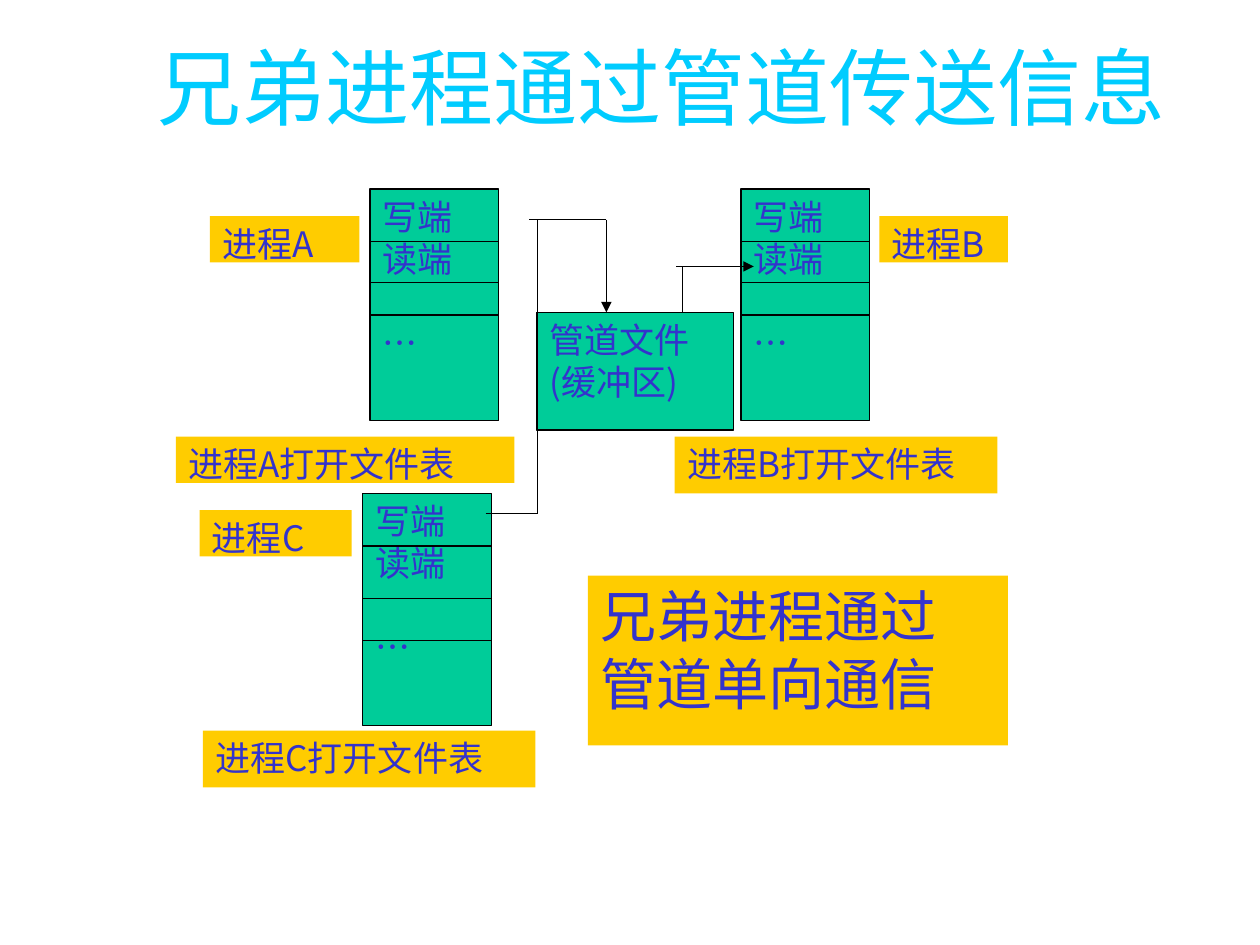
from lxml.etree import SubElement
from pptx import Presentation
from pptx.dml.color import RGBColor
from pptx.enum.shapes import MSO_CONNECTOR, MSO_SHAPE
from pptx.enum.text import MSO_ANCHOR, PP_ALIGN
from pptx.oxml.ns import qn
from pptx.util import Pt

FONT = "Noto Sans CJK JP"
HUES = {"title": "00CCFF", "text": "3333CC", "green": "00CC99",
        "gold": "FFCC00", "line": "000000"}

TITLE = ("兄弟进程通过管道传送信息", (72, 19, 612, 60))
ROWS = ["写端", "读端", "…"]
WIDE, HIGH, GAP = 73.5, 132.5, 24
TABLES = [
    (423.5, 108, (30, 53.5, 72)),
    (211.5, 108, (30, 53.5, 72)),
    (207.25, 282, (30, 60, 84)),
]
BUFFER = (["管道文件", "(缓冲区)"], (306.75, 178.5, 112.5, 67.25))
LABELS = [
    ("进程B", (502.5, 123.5, 73.5, 26.5)),
    ("进程A", (120, 123.5, 85.5, 26.5)),
    ("进程C", (114, 291.5, 87, 26.5)),
    ("进程A打开文件表", (100.5, 249.5, 193.5, 26.5)),
    ("进程B打开文件表", (385.5, 249.5, 184.5, 32.5)),
    ("进程C打开文件表", (116, 417.5, 190, 32.5)),
]
NOTE = (["兄弟进程通过", "管道单向通信"], (336, 329, 240, 97))
PATHS = [
    ((346.5, 125.5), (346.5, 178.5), True),
    ((390, 178.5), (390, 152.25), False),
    ((386.5, 152.25), (430.75, 152.25), True),
    ((277.5, 293.5), (307, 293.5), False),
    ((307, 293.5), (307, 125.5), False),
    ((302.5, 125.5), (346.5, 125.5), False),
]

deck = Presentation()
deck.slide_width, deck.slide_height = Pt(720), Pt(540)
slide = deck.slides.add_slide(deck.slide_layouts[6])


def hue(name):
    return RGBColor.from_string(HUES[name])


def write(shape, text, size=20, color="text", align=PP_ALIGN.LEFT,
          anchor=MSO_ANCHOR.TOP, gaps=()):
    frame = shape.text_frame
    frame.word_wrap = True
    frame.vertical_anchor = anchor
    lines = [text] if isinstance(text, str) else text
    for i, line in enumerate(lines):
        para = frame.paragraphs[0] if i == 0 else frame.add_paragraph()
        para.alignment = align
        if i in gaps:
            para.space_before = Pt(GAP)
        run = para.add_run()
        run.text = line
        run.font.size = Pt(size)
        run.font.name = FONT
        run.font.color.rgb = hue(color)
        SubElement(run.font._element, qn("a:ea"), typeface=FONT)


def block(area, fill, edge=False):
    shape = slide.shapes.add_shape(MSO_SHAPE.RECTANGLE, *map(Pt, area))
    shape.shadow.inherit = False
    shape.fill.solid()
    shape.fill.fore_color.rgb = hue(fill)
    if edge:
        shape.line.color.rgb = hue("line")
        shape.line.width = Pt(0.75)
    else:
        shape.line.fill.background()
    return shape


def link(start, end, arrow=False):
    line = slide.shapes.add_connector(
        MSO_CONNECTOR.STRAIGHT, *map(Pt, start + end))
    line.line.color.rgb = hue("line")
    line.line.width = Pt(0.75)
    if arrow:
        SubElement(line.line._get_or_add_ln(), qn("a:tailEnd"), type="triangle")
    SubElement(line._element.spPr, qn("a:effectLst"))


text, area = TITLE
write(slide.shapes.add_textbox(*map(Pt, area)), text, size=48, color="title",
      align=PP_ALIGN.CENTER, anchor=MSO_ANCHOR.MIDDLE)

for left, top, cuts in TABLES:
    write(block((left, top, WIDE, HIGH), "green", edge=True), ROWS, gaps=(2,))
    for cut in cuts:
        link((left, top + cut), (left + WIDE, top + cut))

text, area = BUFFER
write(block(area, "green", edge=True), text)

for text, area in LABELS:
    write(block(area, "gold"), text)

text, area = NOTE
write(block(area, "gold"), text, size=32)

for start, end, arrow in PATHS:
    link(start, end, arrow)

deck.save("out.pptx")
